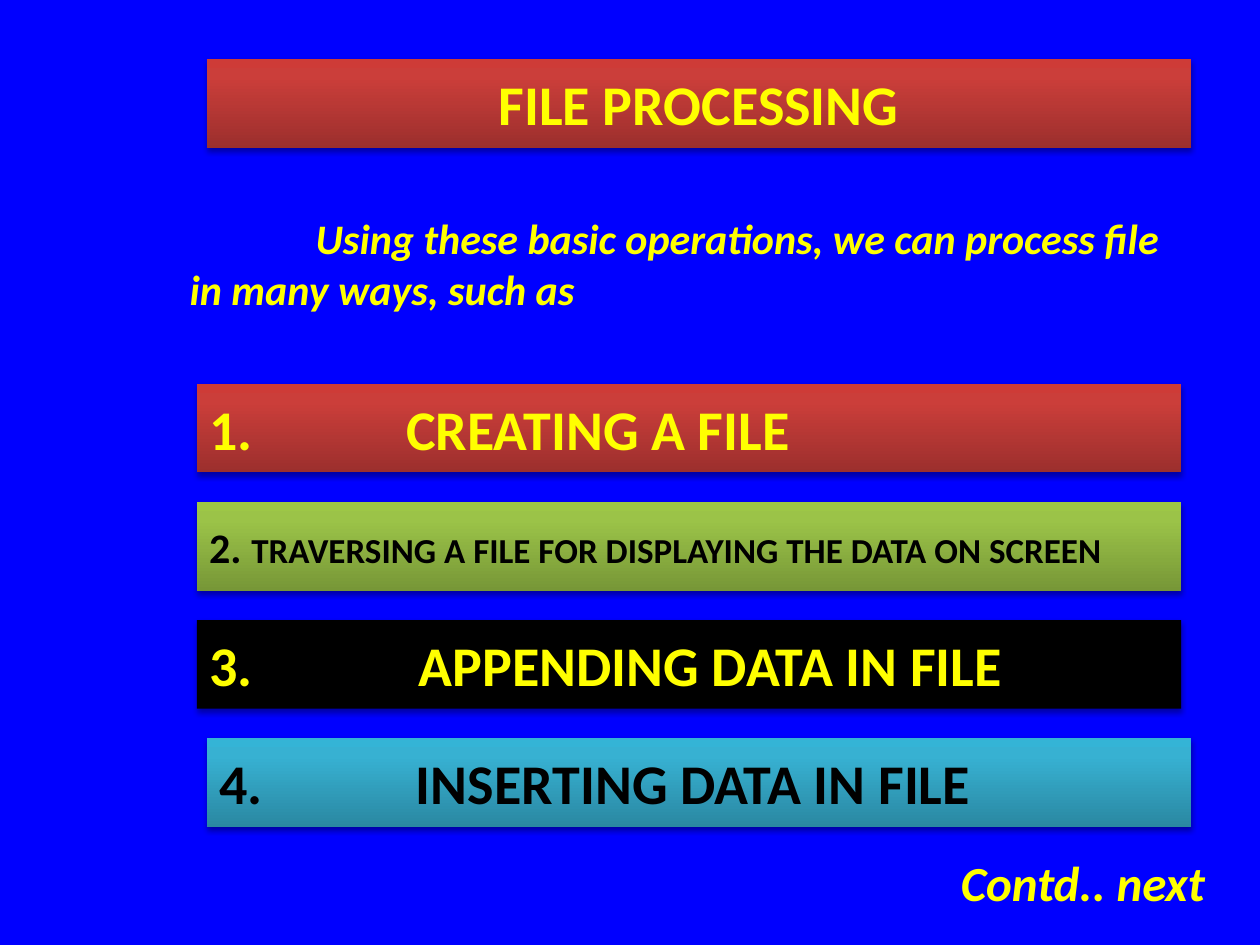
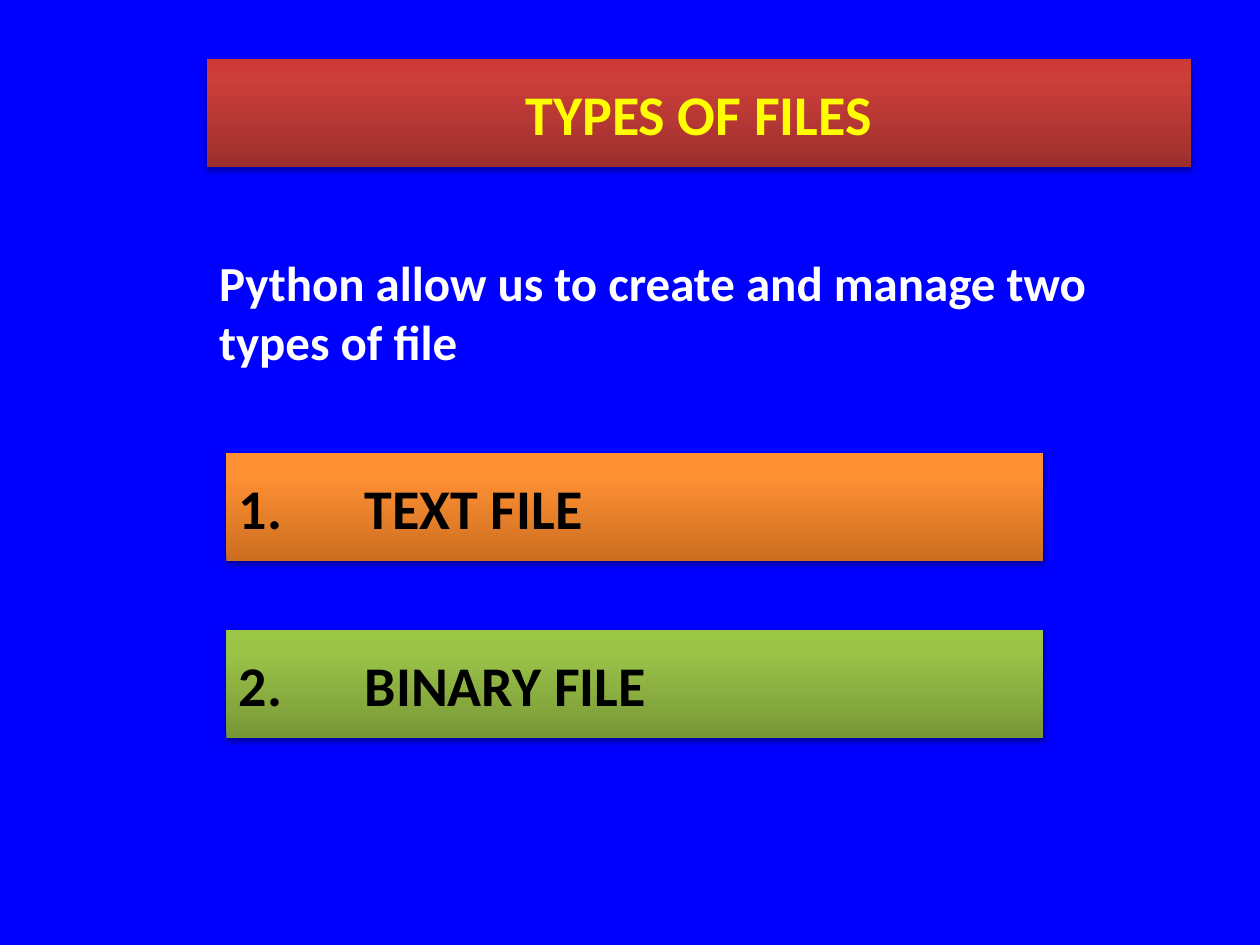
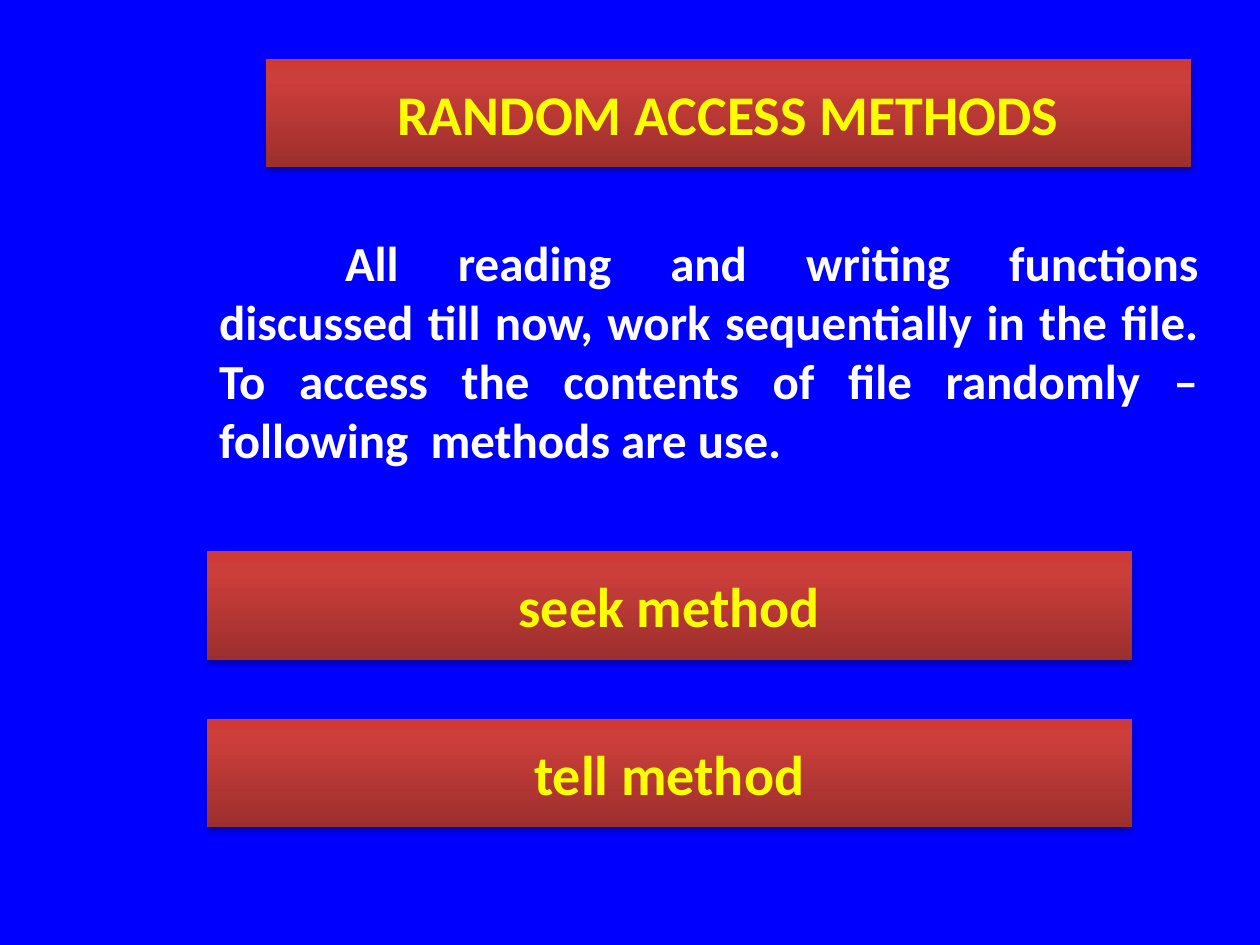
"""Build three slides on file processing, file types and random access in Python."""
import copy

import lxml.etree
import pptx
import pptx.dml.color
import pptx.enum.shapes
import pptx.enum.text
import pptx.oxml
import pptx.oxml.ns
import pptx.util

Pt = pptx.util.Pt
RGB = pptx.dml.color.RGBColor.from_string
qn = pptx.oxml.ns.qn
ALIGN = pptx.enum.text.PP_ALIGN
ANCHOR = pptx.enum.text.MSO_ANCHOR
AUTO = pptx.enum.text.MSO_AUTO_SIZE
RECT = pptx.enum.shapes.MSO_SHAPE.RECTANGLE


class Theme:
    font = "Calibri"
    background = "0000FF"
    yellow, white, black = "FFFF00", "FFFFFF", "000000"
    red = ("9C2F2D", "CB3E3A", "CE3B37")
    green = ("779737", "9BC348", "9DC746")
    teal = ("2A88A2", "37B1D2", "34B4D6")
    orange = ("CC6E20", "FF9034", "FF9136")
    stops = (0, 0.8, 1)
    heading, body, lead, small = 32, 28, 24, 20


SHADOW = (
    f'<a:outerShdw {pptx.oxml.ns.nsdecls("a")} blurRad="{Pt(3.15)}" dist="{Pt(1.81)}" '
    'dir="5400000" rotWithShape="0"><a:srgbClr val="000000"><a:alpha val="35000"/>'
    "</a:srgbClr></a:outerShdw>"
)


def write(sp, runs, color, align=ALIGN.LEFT, italic=False, wrap=True, indent=0, tab=0):
    """Fill the shape's first paragraph with (text, size) runs."""
    tf = sp.text_frame
    tf.word_wrap = wrap
    p = tf.paragraphs[0]
    p.alignment = align
    pPr = p._p.get_or_add_pPr()
    if indent:
        pPr.set("indent", str(Pt(indent)))
    if tab:
        tabs = lxml.etree.SubElement(pPr, qn("a:tabLst"))
        lxml.etree.SubElement(tabs, qn("a:tab"), pos=str(Pt(tab)), algn="l")
    for text, size in runs:
        r = p.add_run()
        r.text = text
        r.font.name = Theme.font
        r.font.size = Pt(size)
        r.font.bold = True
        r.font.italic = italic
        r.font.color.rgb = RGB(color)


def bar(sp, box, fill, runs, color, align=ALIGN.LEFT, tab=0):
    """Place a shape as a shadowed band with a gradient or plain fill."""
    sp.left, sp.top, sp.width, sp.height = map(Pt, box)
    if isinstance(fill, str):
        sp.fill.solid()
        sp.fill.fore_color.rgb = RGB(fill)
    else:
        sp.fill.gradient()
        sp.fill.gradient_angle = 90
        stops = sp._element.spPr.find(".//" + qn("a:gsLst"))
        stops.append(copy.deepcopy(stops[-1]))
        for stop, position, shade in zip(sp.fill.gradient_stops, Theme.stops, fill):
            stop.position = position
            stop.color.rgb = RGB(shade)
    sp.line.fill.background()
    sp.shadow.inherit = False
    effects = sp._element.spPr.find(qn("a:effectLst"))
    effects.append(pptx.oxml.parse_xml(SHADOW))
    sp.text_frame.auto_size = AUTO.NONE
    sp.text_frame.vertical_anchor = ANCHOR.MIDDLE
    write(sp, runs, color, align, tab=tab)


prs = pptx.Presentation()
prs.slide_width, prs.slide_height = Pt(720), Pt(540)
background = prs.slide_master.background.fill
background.solid()
background.fore_color.rgb = RGB(Theme.background)

left, title_top, title_right = 118.12, 33.75, 680.62
row_height, bar_height = 50.62, 61.88

slides = []
for title, title_left, height in (
    ("FILE PROCESSING", left, row_height),
    ("TYPES OF FILES", left, bar_height),
    ("RANDOM ACCESS METHODS", 151.88, bar_height),
):
    s = prs.slides.add_slide(prs.slide_layouts[5])
    bar(s.shapes.title, (title_left, title_top, title_right - title_left, height),
        Theme.red, [(title, Theme.heading)], Theme.yellow, ALIGN.CENTER)
    slides.append(s)
processing, types_of_files, random_access = slides

for s, box, text, size, color, align, italic, wrap, indent in (
    (processing, (101.25, 118.12, 579.38, 65.4),
     "Using these basic operations, we can process file in many ways, such as",
     Theme.lead, Theme.yellow, ALIGN.LEFT, True, True, 72),
    (processing, (540, 483.75, 155.6, 41.2), "Contd.. next",
     Theme.body, Theme.yellow, ALIGN.RIGHT, True, False, 0),
    (types_of_files, (left, 140.62, 573.75, 75.1),
     "Python allow us to create and manage two types of file",
     Theme.body, Theme.white, ALIGN.LEFT, False, True, 0),
    (random_access, (left, 129.38, 573.75, 143),
     "All reading and writing functions discussed till now, work sequentially in the file. "
     "To access the contents of file randomly –following  methods are use.",
     Theme.body, Theme.white, ALIGN.JUSTIFY, False, True, 72),
):
    sp = s.shapes.add_textbox(*map(Pt, box))
    write(sp, [(text, size)], color, align, italic, wrap, indent)

operations = (
    (112.5, Theme.red, Theme.yellow, [("1.\tCREATING A FILE", Theme.heading)]),
    (112.5, Theme.green, Theme.black,
     [("2. ", Theme.lead),
      ("TRAVERSING A FILE FOR DISPLAYING THE DATA ON SCREEN", Theme.small)]),
    (112.5, Theme.black, Theme.yellow, [("3.\t APPENDING DATA IN FILE", Theme.heading)]),
    (left, Theme.teal, Theme.black, [("4.\tINSERTING DATA IN FILE", Theme.heading)]),
)
for i, (x, fill, color, runs) in enumerate(operations):
    box = (x, 219.38 + i * 67.5, 562.5, row_height)
    bar(processing.shapes.add_shape(RECT, *map(Pt, box)), box, fill, runs, color, tab=112.5)

file_types = (("1.\tTEXT FILE", Theme.orange), ("2.\tBINARY FILE", Theme.green))
for i, (text, fill) in enumerate(file_types):
    box = (129.38, 258.75 + i * 101.25, 466.88, bar_height)
    bar(types_of_files.shapes.add_shape(RECT, *map(Pt, box)), box, fill,
        [(text, Theme.heading)], Theme.black, tab=72)

for i, method in enumerate(("seek method", "tell method")):
    box = (left, 315 + i * 95.62, 528.75, bar_height)
    bar(random_access.shapes.add_shape(RECT, *map(Pt, box)), box, Theme.red,
        [(method, Theme.heading)], Theme.yellow, ALIGN.CENTER)

prs.save("out.pptx")
